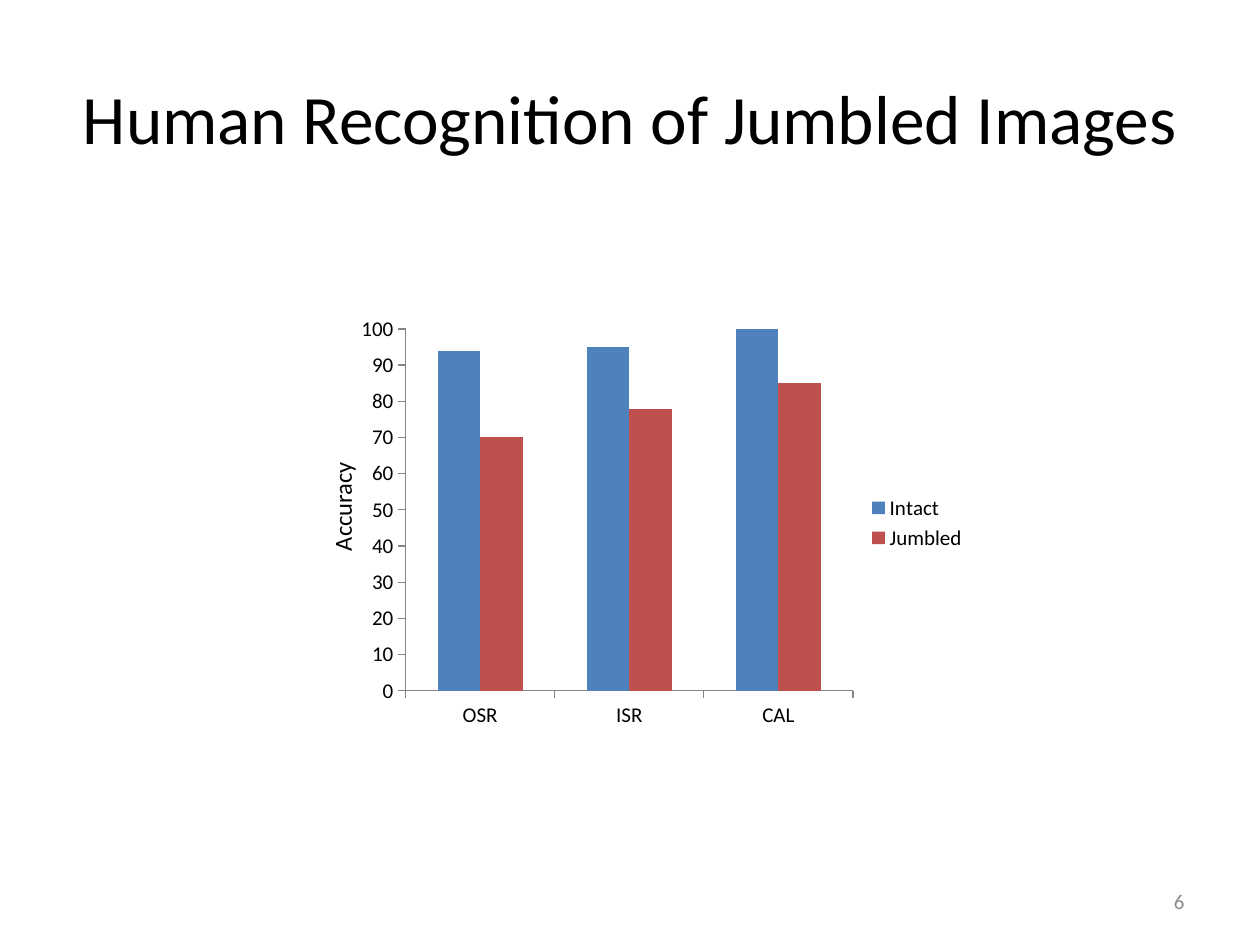
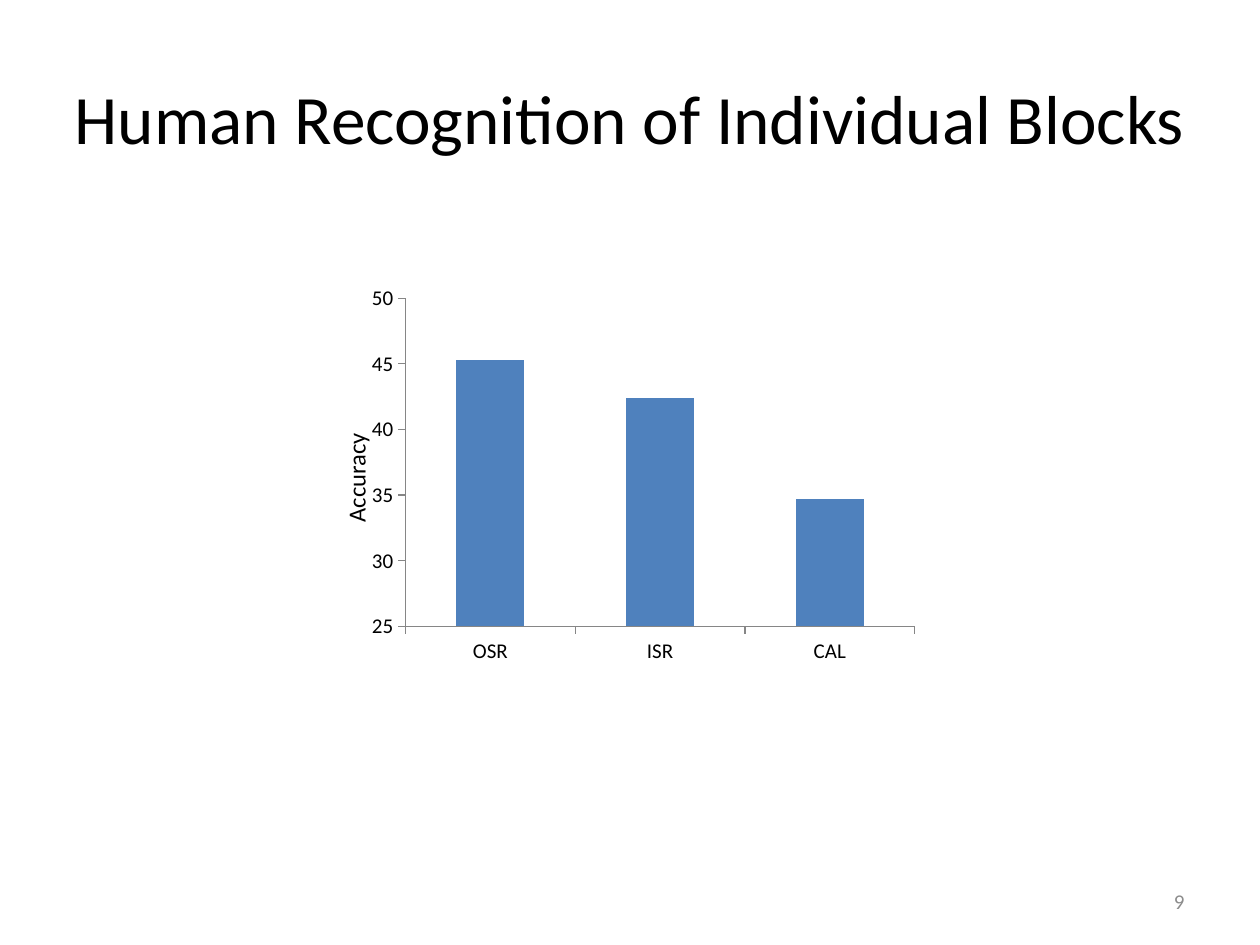
from lxml.etree import SubElement
from pptx import Presentation
from pptx.chart.data import CategoryChartData
from pptx.dml.color import RGBColor
from pptx.enum.chart import XL_CHART_TYPE, XL_LEGEND_POSITION, XL_TICK_MARK
from pptx.enum.text import MSO_ANCHOR, MSO_AUTO_SIZE, PP_ALIGN
from pptx.oxml.ns import qn
from pptx.util import Inches, Pt

FONT = "Calibri"
BLACK = RGBColor(0x00, 0x00, 0x00)
WHITE = RGBColor(0xFF, 0xFF, 0xFF)
AXIS_GRAY = RGBColor(0x86, 0x86, 0x86)
NUMBER_GRAY = RGBColor(0x8C, 0x8C, 0x8C)
BLUE = RGBColor(0x4F, 0x81, 0xBD)
RED = RGBColor(0xC0, 0x50, 0x4D)
SLIDE_WIDTH, SLIDE_HEIGHT = 10, 7.5
DATASETS = ("OSR", "ISR", "CAL")


def inches(box):
    """Turn a box given in inches into slide lengths."""
    return [Inches(length) for length in box]


def style_font(font, size, color=BLACK):
    """Give a font the deck's typeface, a size and a colour."""
    font.name, font.size, font.color.rgb = FONT, Pt(size), color


def write(frame, words, size, align, color=BLACK):
    """Fill a text frame with one styled, vertically centred run."""
    frame.word_wrap = True
    frame.auto_size = MSO_AUTO_SIZE.NONE
    frame.vertical_anchor = MSO_ANCHOR.MIDDLE
    paragraph = frame.paragraphs[0]
    paragraph.alignment = align
    run = paragraph.add_run()
    run.text = words
    style_font(run.font, size, color)


def add_label(slide, box, words, size, align, color=BLACK, rotation=0):
    """Add a text box holding one line."""
    label = slide.shapes.add_textbox(*inches(box))
    label.rotation = rotation
    write(label.text_frame, words, size, align, color)


def add_titled_slide(deck, heading, title_width, number):
    """Add a slide with a centred title and its page number."""
    slide = deck.slides.add_slide(deck.slide_layouts[5])
    title = slide.shapes.title
    title.left, title.top, title.width, title.height = inches(
        ((SLIDE_WIDTH - title_width) / 2, 0.3, title_width, 1.25))
    write(title.text_frame, heading, 39.6, PP_ALIGN.CENTER)
    add_label(slide, (7.17, 6.95, 2.33, 0.4), str(number), 12, PP_ALIGN.RIGHT, NUMBER_GRAY)
    return slide


def place_plot(chart, shares):
    """Fix the inner plot area as shares of the chart's size."""
    plot_area = chart._chartSpace.chart.plotArea
    for automatic in plot_area.findall(qn("c:layout")):
        plot_area.remove(automatic)
    layout = SubElement(plot_area, qn("c:layout"))
    plot_area.insert(0, layout)
    manual = SubElement(layout, qn("c:manualLayout"))
    settings = [("layoutTarget", "inner"), ("xMode", "edge"), ("yMode", "edge")]
    settings += zip("xywh", shares)
    for tag, value in settings:
        SubElement(manual, qn(f"c:{tag}")).set("val", str(value))


def style_axis(axis):
    """Give an axis its line, outer ticks and label font."""
    axis.major_tick_mark = XL_TICK_MARK.OUTSIDE
    axis.minor_tick_mark = XL_TICK_MARK.NONE
    axis.format.line.color.rgb = AXIS_GRAY
    axis.format.line.width = Pt(0.75)
    style_font(axis.tick_labels.font, 12)


def add_accuracy_chart(slide, box, plot_shares, scores, scale):
    """Add a column chart of accuracy per dataset; scale is low, high, step."""
    data = CategoryChartData(number_format="General")
    data.categories = DATASETS
    for condition, accuracies in scores.items():
        data.add_series(condition, accuracies)
    chart = slide.shapes.add_chart(XL_CHART_TYPE.COLUMN_CLUSTERED, *inches(box), data).chart
    chart.has_title = False
    style_font(chart.font, 10)
    place_plot(chart, plot_shares)

    plot = chart.plots[0]
    plot.gap_width, plot.overlap, plot.vary_by_categories = 150, 0, False
    for series, color in zip(plot.series, (BLUE, RED)):
        series.format.fill.solid()
        series.format.fill.fore_color.rgb = color
        series.invert_if_negative = False

    accuracy = chart.value_axis
    accuracy.minimum_scale, accuracy.maximum_scale, accuracy.major_unit = scale
    accuracy.major_gridlines.format.line.color.rgb = WHITE
    accuracy.major_gridlines.format.line.width = Pt(0.75)
    for axis in (chart.category_axis, accuracy):
        style_axis(axis)

    chart.has_legend = len(scores) > 1
    if chart.has_legend:
        chart.legend.position = XL_LEGEND_POSITION.RIGHT
        chart.legend.include_in_layout = False
        style_font(chart.legend.font, 12)


def add_axis_name(slide, left, top):
    """Add the upright name of the value axis."""
    add_label(slide, (left, top, 3.15, 0.34), "Accuracy", 14, PP_ALIGN.CENTER, rotation=270)


def main():
    """Build the two recognition slides."""
    deck = Presentation()
    deck.slide_width, deck.slide_height = inches((SLIDE_WIDTH, SLIDE_HEIGHT))

    jumbled = add_titled_slide(deck, "Human Recognition of Jumbled Images", 9, 6)
    add_accuracy_chart(
        jumbled, (2.77, 2.44, 5, 3.42), (0.09, 0.05, 0.71, 0.84),
        {"Intact": (94, 95, 100), "Jumbled": (70, 78, 85)}, (0, 100, 10))
    add_axis_name(jumbled, 1.14, 3.85)

    blocks = add_titled_slide(deck, "Human Recognition of Individual Blocks", 9.51, 9)
    add_accuracy_chart(
        blocks, (2.86, 2.21, 4.49, 3.14), (0.08, 0.05, 0.9, 0.83),
        {"Series 1": (45.3, 42.4, 34.7)}, (25, 50, 5))
    add_axis_name(blocks, 1.25, 3.62)

    deck.save("out.pptx")


if __name__ == "__main__":
    main()
